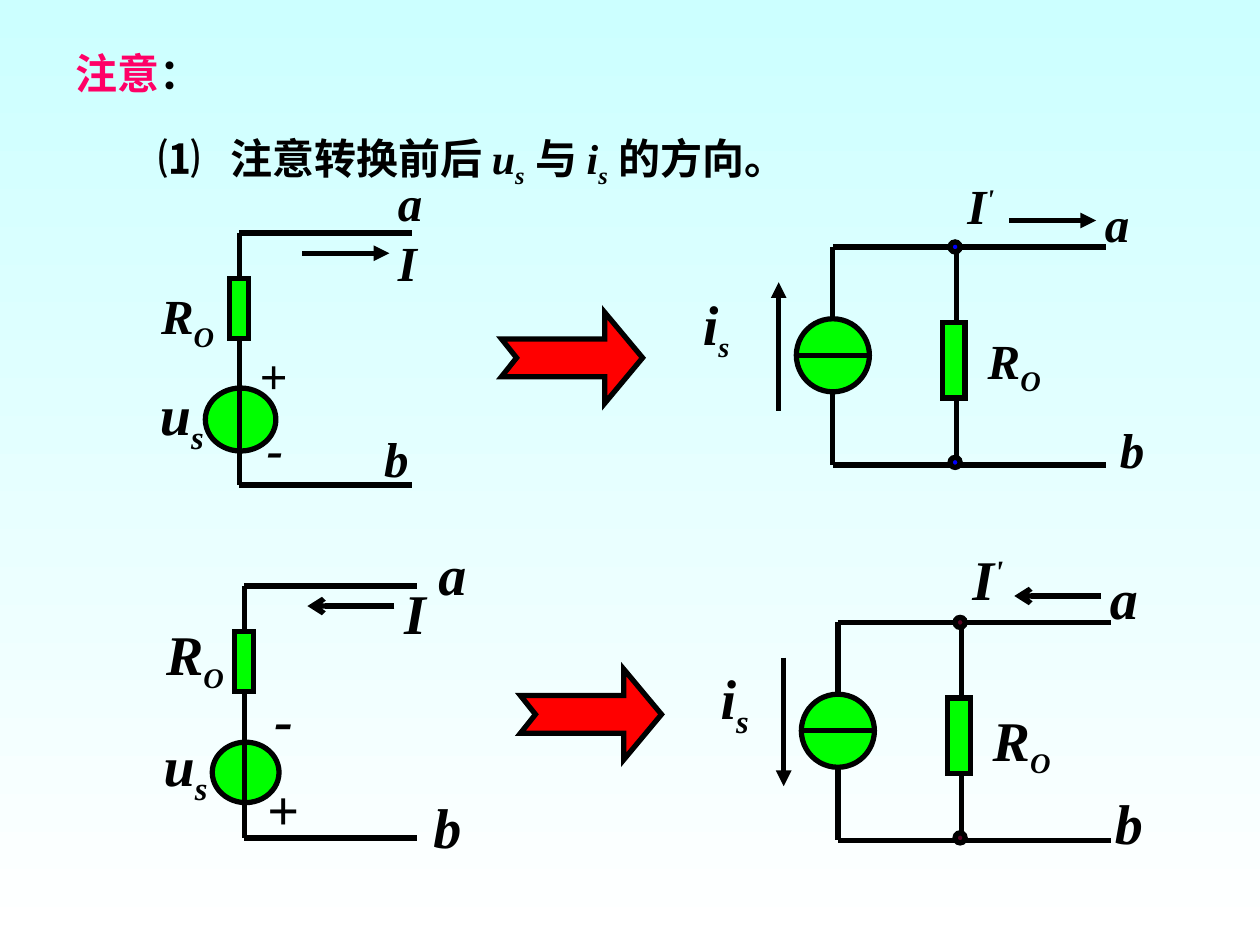
from lxml import etree
from pptx import Presentation
from pptx.dml.color import RGBColor
from pptx.enum.shapes import MSO_CONNECTOR, MSO_SHAPE
from pptx.enum.text import MSO_AUTO_SIZE
from pptx.oxml.ns import qn
from pptx.util import Inches, Pt

OVAL, BOX, STRAIGHT = MSO_SHAPE.OVAL, MSO_SHAPE.RECTANGLE, MSO_CONNECTOR.STRAIGHT
FIT = MSO_AUTO_SIZE.SHAPE_TO_FIT_TEXT
FONT = "Times New Roman"
BLACK, PINK, GREEN, RED = "000000", "FF0066", "00FF00", "FF0000"
SUB, SUPER = -25, 30

# Headings: box, runs of (text, format)
HEADINGS = [
    ((0.5, 0.33, 1.25, 0.5), [("注意", {"color": PINK}), ("：", {})]),
    ((1.16, 1.0, 5.53, 0.56), [
        ("⑴\t注意转换前后 ", {}), ("u", {"italic": True}),
        ("s", {"italic": True, "baseline": SUB}), (" 与 ", {}),
        ("i", {"italic": True}), ("s", {"italic": True, "baseline": SUB}),
        (" 的方向。", {})]),
]
HEADING_TAB = 0.57

# Symbols by letter size: box, letter, script letter, script baseline, script size
SYMBOLS = {
    28: [
        ((3.06, 1.32, 0.39, 0.57), "a"), ((2.95, 3.35, 0.4, 0.57), "b"),
        ((3.06, 1.8, 0.35, 0.57), "I"), ((1.96, 2.69, 0.42, 0.57), "+"),
        ((2.02, 3.27, 0.33, 0.57), "-"),
        ((1.18, 2.22, 0.62, 0.63), "R", "O", SUB, 28),
        ((8.67, 1.49, 0.39, 0.57), "a"), ((8.79, 3.28, 0.39, 0.57), "b"),
        ((7.58, 1.34, 0.6, 0.57), "I", "'", SUPER, 28),
        ((7.74, 2.57, 0.62, 0.63), "R", "O", SUB, 28),
    ],
    32: [
        ((1.17, 2.96, 0.55, 0.71), "u", "s", SUB, 32),
        ((5.48, 2.25, 0.41, 0.69), "i", "s", SUB, 28),
        ((3.38, 4.23, 0.42, 0.64), "a"), ((3.34, 6.24, 0.42, 0.64), "b"),
        ((3.11, 4.54, 0.37, 0.64), "I"), ((2.02, 6.1, 0.46, 0.63), "+"),
        ((2.08, 5.38, 0.41, 0.63), "-"),
        ((1.22, 4.87, 0.66, 0.69), "R", "O", SUB, 28),
        ((1.2, 5.75, 0.55, 0.71), "u", "s", SUB, 32),
        ((8.71, 4.42, 0.42, 0.64), "a"), ((8.75, 6.21, 0.42, 0.64), "b"),
        ((7.62, 4.27, 0.6, 0.64), "I", "'", SUPER, 32),
        ((5.62, 5.22, 0.42, 0.71), "i", "s", SUB, 32),
        ((7.78, 5.55, 0.66, 0.69), "R", "O", SUB, 28),
    ],
}

# Circuits: top-left corner of the wiring, then what differs between rows
VOLTAGE_CIRCUITS = [(1.9, 1.85, 0.56, 0.5, False), (1.94, 4.65, 0.53, 0.48, True)]
CURRENT_CIRCUITS = [(6.61, 1.96, "0000FF", False), (6.65, 4.94, "590322", True)]
BLOCK_ARROWS = [(3.98, 2.48), (4.13, 5.31)]
BLOCK_ARROW_OUTLINE = [(0, 0.21), (0.82, 0.21), (0.82, 0), (1.12, 0.36),
                       (0.82, 0.72), (0.82, 0.51), (0, 0.51), (0.12, 0.36)]

presentation = Presentation()
presentation.slide_width, presentation.slide_height = Inches(10), Inches(7.5)
slide = presentation.slides.add_slide(presentation.slide_layouts[6])
shapes = slide.shapes


def rgb(value):
    return RGBColor.from_string(value)


def lengths(values):
    return [Inches(value) for value in values]


def paint(shape, fill):
    shape.shadow.inherit = False
    shape.fill.solid()
    shape.fill.fore_color.rgb = rgb(fill)
    shape.line.color.rgb = rgb(BLACK)
    shape.line.width = Pt(3)
    etree.SubElement(shape.line._get_or_add_ln(), qn("a:miter"), lim="800000")


def add_part(kind, fill, *box):
    paint(shapes.add_shape(kind, *lengths(box)), fill)


def add_wire(x1, y1, x2, y2, arrowhead=None):
    wire = shapes.add_connector(STRAIGHT, *lengths((x1, y1, x2, y2)))
    wire.line.color.rgb = rgb(BLACK)
    wire.line.width = Pt(3)
    if arrowhead:
        etree.SubElement(wire.line._get_or_add_ln(), qn("a:tailEnd"), type=arrowhead)
    etree.SubElement(wire._element.spPr, qn("a:effectLst"))


def add_current_arrow(left, right, y, reverse):
    if reverse:
        add_wire(right, y, left, y, "arrow")
    else:
        add_wire(left, y, right, y, "triangle")


def add_text(box, runs, size, wrap=False, italic=None, tab=None):
    frame = shapes.add_textbox(*lengths(box)).text_frame
    frame.word_wrap, frame.auto_size = wrap, FIT
    paragraph = frame.paragraphs[0]
    if tab:
        stops = etree.SubElement(paragraph._p.get_or_add_pPr(), qn("a:tabLst"))
        etree.SubElement(stops, qn("a:tab"), pos=str(Inches(tab)), algn="l")
    font = paragraph.font
    font.name, font.size, font.bold, font.italic = FONT, Pt(size), True, italic
    font.color.rgb = rgb(BLACK)
    for text, style in runs:
        run = paragraph.add_run()
        run.text = text
        if "color" in style:
            run.font.color.rgb = rgb(style["color"])
        if "italic" in style:
            run.font.italic = style["italic"]
        if "size" in style:
            run.font.size = Pt(style["size"])
        if "baseline" in style:
            run._r.get_or_add_rPr().set("baseline", str(style["baseline"] * 1000))


def add_voltage_circuit(x, y, width, height, reverse):
    right, bottom = x + 1.37, y + 2
    add_part(OVAL, GREEN, x + 0.01 - width / 2, y + 1.48 - height / 2, width, height)
    add_wire(x, y, x, bottom)
    add_part(BOX, GREEN, x - 0.08, y + 0.36, 0.15, 0.48)
    for level in (y, bottom):
        add_wire(x, level, right, level)
    add_current_arrow(x + 0.5, x + 1.19, y + 0.16, reverse)


def add_current_circuit(x, y, node_color, reverse):
    branch, right, bottom = x + 0.98, x + 2.17, y + 1.73
    # Current source and its direction
    add_part(OVAL, GREEN, x - 0.29, y + 0.57, 0.58, 0.58)
    add_wire(x - 0.29, y + 0.86, x + 0.29, y + 0.86)
    add_wire(x, y, x, y + 0.57)
    add_wire(x, y + 1.15, x, bottom)
    start, end = (0.28, 1.3) if reverse else (1.3, 0.28)
    add_wire(x - 0.43, y + start, x - 0.43, y + end, "triangle")
    # Resistor branch
    add_wire(branch, y, branch, bottom)
    add_part(BOX, GREEN, branch - 0.11, y + 0.6, 0.18, 0.6)
    # Terminal wires and nodes
    for level, node_top in ((y, y - 0.04), (bottom, y + 1.67)):
        add_wire(x, level, right, level)
        add_part(OVAL, node_color, branch - 0.05, node_top, 0.08, 0.08)
    add_current_arrow(x + 1.4, x + 2.09, y - 0.21, reverse)


# Background
background = slide.background.fill
background.gradient()
background.gradient_angle = 270
for stop, color in zip(background.gradient_stops, ("CCFFFF", "FFFFFF")):
    stop.color.rgb = rgb(color)

# Circuits and the arrows between them
for circuit in VOLTAGE_CIRCUITS:
    add_voltage_circuit(*circuit)
for circuit in CURRENT_CIRCUITS:
    add_current_circuit(*circuit)
for left, top in BLOCK_ARROWS:
    points = [lengths((left + x, top + y)) for x, y in BLOCK_ARROW_OUTLINE]
    builder = shapes.build_freeform(*points[0])
    builder.add_line_segments(points[1:], close=True)
    paint(builder.convert_to_shape(), RED)

# Headings and symbols
for box, runs in HEADINGS:
    add_text(box, runs, 24, wrap=True, tab=HEADING_TAB if "\t" in runs[0][0] else None)
for size, symbols in SYMBOLS.items():
    for box, letter, *script in symbols:
        runs = [(letter, {})]
        if script:
            text, baseline, script_size = script
            runs.append((text, {"baseline": baseline, "size": script_size}))
        # Primed letters sit in a wider box with a fixed left edge
        add_text(box, runs, size, wrap=SUPER in script, italic=True)

presentation.save("out.pptx")
